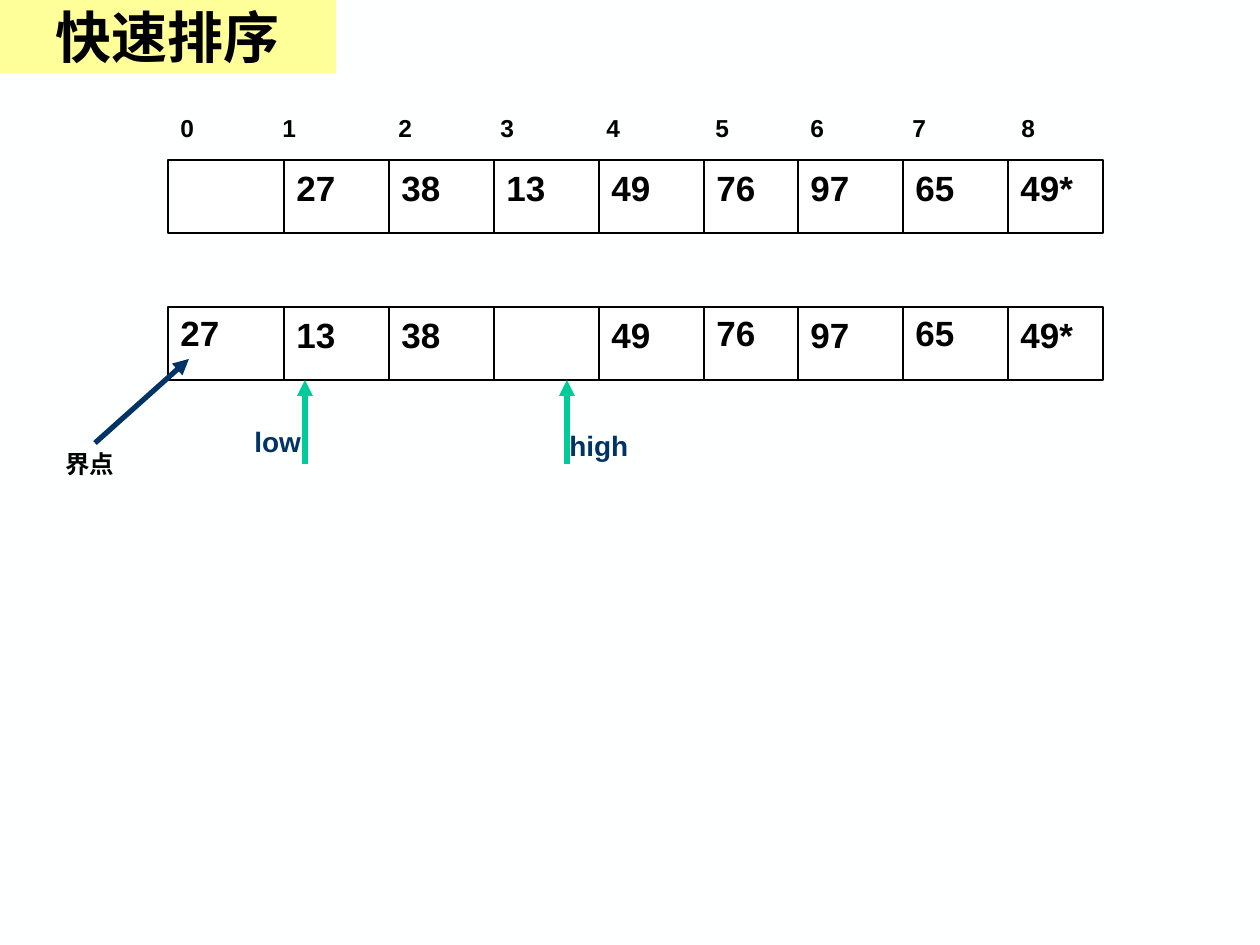
from itertools import accumulate

from lxml import etree
from pptx import Presentation
from pptx.dml.color import RGBColor
from pptx.enum.shapes import MSO_CONNECTOR, MSO_SHAPE
from pptx.enum.text import MSO_ANCHOR, PP_ALIGN
from pptx.oxml.ns import qn
from pptx.util import Pt

PX = 914400 // 126
COLORS = {
    "background": "FEFFFF",
    "cell": "FFFFFF",
    "ink": "000000",
    "title": "FFFF99",
    "pointer": "00CC99",
    "navy": "003366",
}
FORMATS = {
    "title": {"size": Pt(32), "name": "Times New Roman", "bold": True},
    "value": {"size": Pt(20), "name": "Arial", "bold": True},
    "pointer": {"size": Pt(16), "name": "Arial", "bold": True},
    "label": {"size": Pt(14), "name": "Arial", "bold": True},
}
COLUMN_WIDTHS = [116, 105, 105, 105, 105, 94, 105, 105, 95]
COLUMN_LEFTS = list(accumulate(COLUMN_WIDTHS[:-1], initial=0))
INDEX_TABS = [102, 218, 320, 426, 535, 630, 732, 841]
ARRAY_LEFT, ARRAY_WIDTH, ARRAY_HEIGHT = 168, sum(COLUMN_WIDTHS), 73


def rgb(color):
    return RGBColor.from_string(COLORS[color])


def write(paragraph, text, style, color="ink"):
    paragraph.text = text
    for name, value in FORMATS[style].items():
        setattr(paragraph.font, name, value)
    paragraph.font.color.rgb = rgb(color)


def add_text(slide, box, text, style, color="ink", tabs=()):
    shape = slide.shapes.add_textbox(*(value * PX for value in box))
    shape.text_frame.word_wrap = True
    paragraph = shape.text_frame.paragraphs[0]
    if tabs:
        tab_list = etree.SubElement(paragraph._p.get_or_add_pPr(), qn("a:tabLst"))
        for position in tabs:
            etree.SubElement(tab_list, qn("a:tab"), pos=str(position * PX), algn="l")
    write(paragraph, text, style, color)


def add_rectangle(slide, box, fill):
    shape = slide.shapes.add_shape(MSO_SHAPE.RECTANGLE, *(value * PX for value in box))
    shape.shadow.inherit = False
    shape.fill.solid()
    shape.fill.fore_color.rgb = rgb(fill)
    return shape


def add_line(slide, start, end, color="ink", width=0.75, arrow=False):
    points = (value * PX for value in (*start, *end))
    connector = slide.shapes.add_connector(MSO_CONNECTOR.STRAIGHT, *points)
    connector.line.color.rgb = rgb(color)
    connector.line.width = Pt(width)
    if arrow:
        etree.SubElement(connector.line._get_or_add_ln(), qn("a:tailEnd"), type="triangle")
    etree.SubElement(connector._element.spPr, qn("a:effectLst"))


def add_title(slide, box, text):
    shape = add_rectangle(slide, box, "title")
    shape.line.fill.background()
    shape.text_frame.vertical_anchor = MSO_ANCHOR.MIDDLE
    paragraph = shape.text_frame.paragraphs[0]
    paragraph.alignment = PP_ALIGN.CENTER
    write(paragraph, text, "title")


def add_array(slide, box, values, raised=()):
    """Draw one row of cells; the columns in raised hold their value 2 px higher."""
    left, top, _, height = box
    frame = add_rectangle(slide, box, "cell")
    frame.line.color.rgb = rgb("ink")
    frame.line.width = Pt(0.75)
    for offset in COLUMN_LEFTS[1:]:
        add_line(slide, (left + offset, top), (left + offset, top + height))
    for column, (offset, value) in enumerate(zip(COLUMN_LEFTS, values)):
        if value:
            text_top = top - 2 if column in raised else top
            add_text(slide, (left + offset, text_top, 84, 55), value, "value")


def add_pointer(slide, tip, text, label_offset):
    """Draw an upward arrow ending at tip, with its label placed relative to tip."""
    x, y = tip
    add_line(slide, (x, y + 84), tip, "pointer", 3, arrow=True)
    dx, dy = label_offset
    add_text(slide, (x + dx, y + dy, 116, 46), text, "pointer", "navy")


def add_pivot(slide, box, text, tip):
    left, top, _, _ = box
    add_text(slide, box, text, "label")
    add_line(slide, (left + 42, top), tip, "navy", 3, arrow=True)


def main():
    presentation = Presentation()
    presentation.slide_width = 1260 * PX
    presentation.slide_height = 945 * PX
    slide = presentation.slides.add_slide(presentation.slide_layouts[6])
    slide.background.fill.solid()
    slide.background.fill.fore_color.rgb = rgb("background")

    add_title(slide, (0, 0, 336, 73), "快速排序")
    add_text(slide, (ARRAY_LEFT, 107, ARRAY_WIDTH, 42),
             "\t".join(str(index) for index in range(9)), "label", tabs=INDEX_TABS)
    add_array(slide, (ARRAY_LEFT, 160, ARRAY_WIDTH, ARRAY_HEIGHT),
              ["", "27", "38", "13", "49", "76", "97", "65", "49*"])
    add_array(slide, (ARRAY_LEFT, 307, ARRAY_WIDTH, ARRAY_HEIGHT),
              ["27", "13", "38", "", "49", "76", "97", "65", "49*"], raised=(0, 5, 7))
    add_pointer(slide, (305, 380), "low", (-63, 38))
    add_pointer(slide, (567, 380), "high", (-10, 42))
    add_pivot(slide, (53, 443, 105, 42), "界点", (189, 359))
    presentation.save("out.pptx")


if __name__ == "__main__":
    main()
